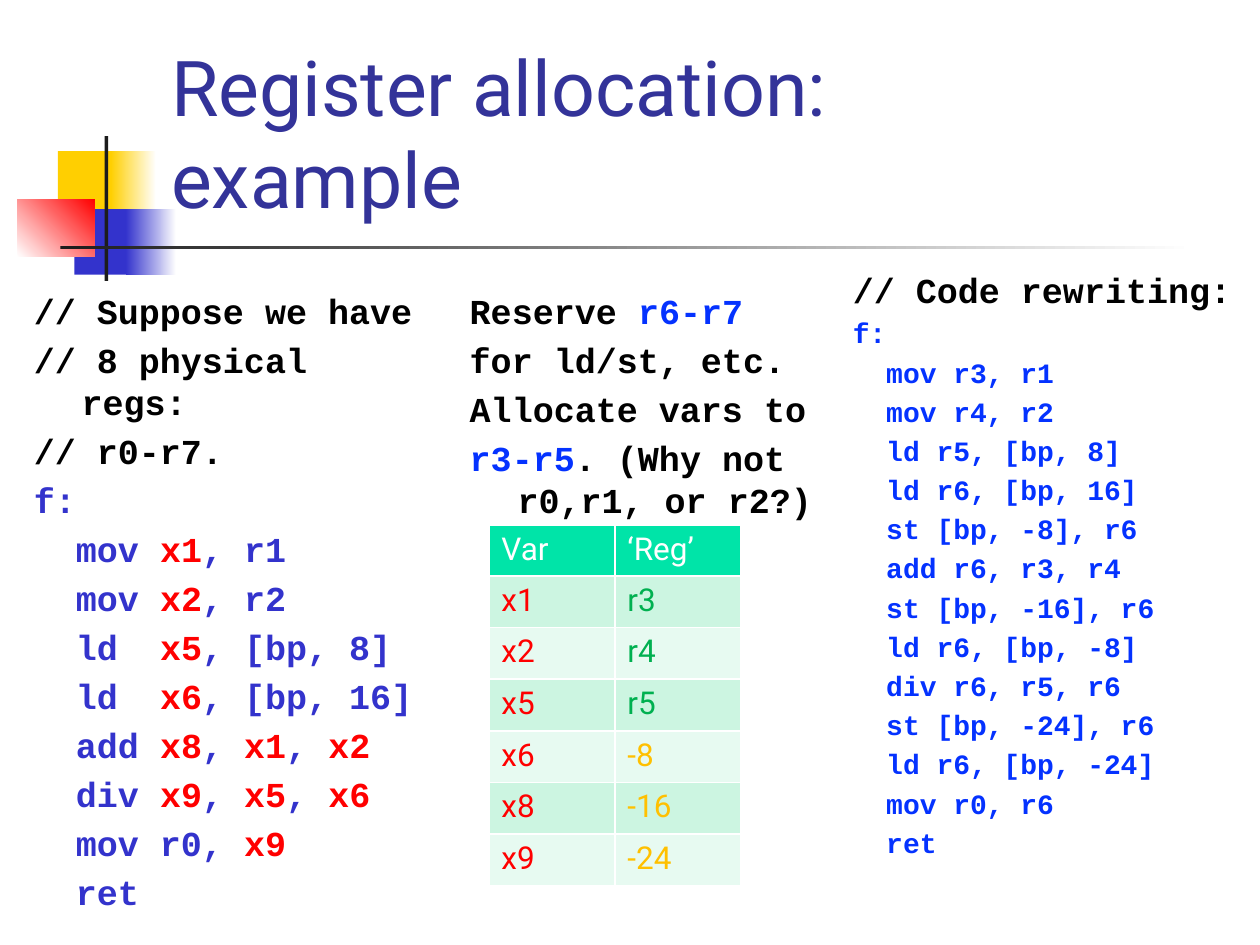
from lxml import etree
from pptx import Presentation
from pptx.dml.color import RGBColor
from pptx.enum import shapes, text
from pptx.oxml.ns import qn
from pptx.util import Inches, Pt

WHITE, BLACK, RED = "FFFFFF", "000000", "FF0000"
YELLOW, BLUE, CODE_BLUE, DARK = "FFCF01", "3333CC", "0432FF", "1C1C1C"
GREEN, AMBER = "00B050", "FFC000"
CODE_FONT, BODY_FONT = "Courier New", "Roboto"

# left, top, width, height, colours (two make a gradient), angle
DECORATION = [
    (0.46, 1.2, 0.48, 0.52, [YELLOW], 0),
    (0.88, 1.2, 0.36, 0.52, [YELLOW, WHITE], 0),
    (0.59, 1.66, 0.46, 0.52, [BLUE], 0),
    (1, 1.66, 0.4, 0.52, [BLUE, WHITE], 0),
    (0.14, 1.58, 0.61, 0.46, [WHITE, RED], 45),
    (0.83, 1.08, 0.03, 1.15, [DARK], 0),
    (0.48, 1.95, 9, 0.03, [DARK, WHITE], 0),
]

TITLE = ["Register allocation:", "example"]

# Each block: size, colour, accent colour, lines; *stars* mark accented runs
RESERVE = [
    (20, BLACK, CODE_BLUE, [
        "Reserve *r6-r7*",
        "for ld/st, etc.",
        "Allocate vars to",
        "*r3-r5*. (Why not r0,r1, or r2?)",
    ]),
]
BEFORE = [
    (20, BLACK, RED, ["// Suppose we have", "// 8 physical regs:", "// r0-r7."]),
    (20, BLUE, RED, [
        "f:",
        "  mov *x1*, r1",
        "  mov *x2*, r2",
        "  ld  *x5*, [bp, 8]",
        "  ld  *x6*, [bp, 16]",
        "  add *x8*, *x1*, *x2*",
        "  div *x9*, *x5*, *x6*",
        "  mov r0, *x9*",
        "  ret",
    ]),
]
REWRITTEN = [
    (20, BLACK, RED, ["// Code rewriting:"]),
    (16, CODE_BLUE, RED, [
        "f:",
        "  mov r3, r1",
        "  mov r4, r2",
        "  ld r5, [bp, 8]",
        "  ld r6, [bp, 16]",
        "  st [bp, -8], r6",
        "  add r6, r3, r4",
        "  st [bp, -16], r6",
        "  ld r6, [bp, -8]",
        "  div r6, r5, r6",
        "  st [bp, -24], r6",
        "  ld r6, [bp, -24]",
        "  mov r0, r6",
        "  ret",
    ]),
]
CODE_BOXES = [
    ((3.63, 2.25, 2.96, 1.58), RESERVE),
    ((0.17, 2.25, 3.33, 4.5), BEFORE),
    ((6.67, 2.08, 3.33, 5.17), REWRITTEN),
]

ALLOCATION = [("Var", "‘Reg’"), ("x1", "r3"), ("x2", "r4"), ("x5", "r5"),
              ("x6", "-8"), ("x8", "-16"), ("x9", "-24")]
HEADER_FILL, BANDS = "00E4A8", ["CCF5E1", "E7FAF1"]


def rgb(value):
    return RGBColor.from_string(value)


def place(*lengths):
    return [Inches(n) for n in lengths]


def add_run(p, words, font, size, color, bold=False):
    r = p.add_run()
    r.text = words
    r.font.name, r.font.size, r.font.bold = font, Pt(size), bold
    r.font.color.rgb = rgb(color)


def add_block(s, left, top, width, height, colors, angle):
    sp = s.shapes.add_shape(shapes.MSO_SHAPE.RECTANGLE,
                            *place(left, top, width, height))
    sp.shadow.inherit = False
    sp.line.fill.background()
    if len(colors) == 1:
        sp.fill.solid()
        sp.fill.fore_color.rgb = rgb(colors[0])
    else:
        sp.fill.gradient()
        sp.fill.gradient_angle = angle
        for stop, color in zip(sp.fill.gradient_stops, colors):
            stop.color.rgb = rgb(color)


def add_text_frame(s, at):
    tf = s.shapes.add_textbox(*place(*at)).text_frame
    tf.word_wrap = True
    return tf


def add_title(s):
    tf = add_text_frame(s, (1.26, 0.23, 8.52, 1.6))
    tf.vertical_anchor = text.MSO_ANCHOR.BOTTOM
    p = tf.paragraphs[0]
    for i, line in enumerate(TITLE):
        if i:
            p.add_line_break()
        add_run(p, line, BODY_FONT, 44, "333399")


def add_code(s, at, blocks):
    tf = add_text_frame(s, at)
    lines = [(size, colors, line)
             for size, *colors, block in blocks for line in block]
    for i, (size, colors, line) in enumerate(lines):
        p = tf.add_paragraph() if i else tf.paragraphs[0]
        if i:
            p.space_before = Pt(size * 0.2)
        pPr = p._p.get_or_add_pPr()
        pPr.set("marL", str(Inches(0.38)))
        pPr.set("indent", str(Inches(-0.38)))
        for j, part in enumerate(line.split("*")):
            if part:
                add_run(p, part, CODE_FONT, size, colors[j % 2], True)


def add_borders(cell):
    tcPr = cell._tc.get_or_add_tcPr()
    for side in ("lnL", "lnR", "lnT", "lnB"):
        ln = etree.SubElement(tcPr, qn("a:" + side), w=str(Pt(1)))
        fill = etree.SubElement(ln, qn("a:solidFill"))
        etree.SubElement(fill, qn("a:srgbClr"), val=WHITE)


def cell_color(row, col, words):
    if row == 0:
        return WHITE
    if col == 0:
        return RED
    return GREEN if words.startswith("r") else AMBER


def add_allocation_table(s):
    table = s.shapes.add_table(len(ALLOCATION), 2,
                               *place(3.88, 4.17, 2, 2.85)).table
    for i, values in enumerate(ALLOCATION):
        table.rows[i].height = Inches(0.41 if i else 0.39)
        for j, words in enumerate(values):
            cell = table.cell(i, j)
            add_borders(cell)
            cell.fill.solid()
            cell.fill.fore_color.rgb = rgb(BANDS[(i - 1) % 2] if i else HEADER_FILL)
            add_run(cell.text_frame.paragraphs[0], words, BODY_FONT, 18,
                    cell_color(i, j, words))


def main():
    prs = Presentation()
    prs.slide_width, prs.slide_height = place(10, 7.5)
    s = prs.slides.add_slide(prs.slide_layouts[6])
    for block in DECORATION:
        add_block(s, *block)
    add_title(s)
    for at, blocks in CODE_BOXES:
        add_code(s, at, blocks)
    add_allocation_table(s)
    prs.save("out.pptx")


if __name__ == "__main__":
    main()
